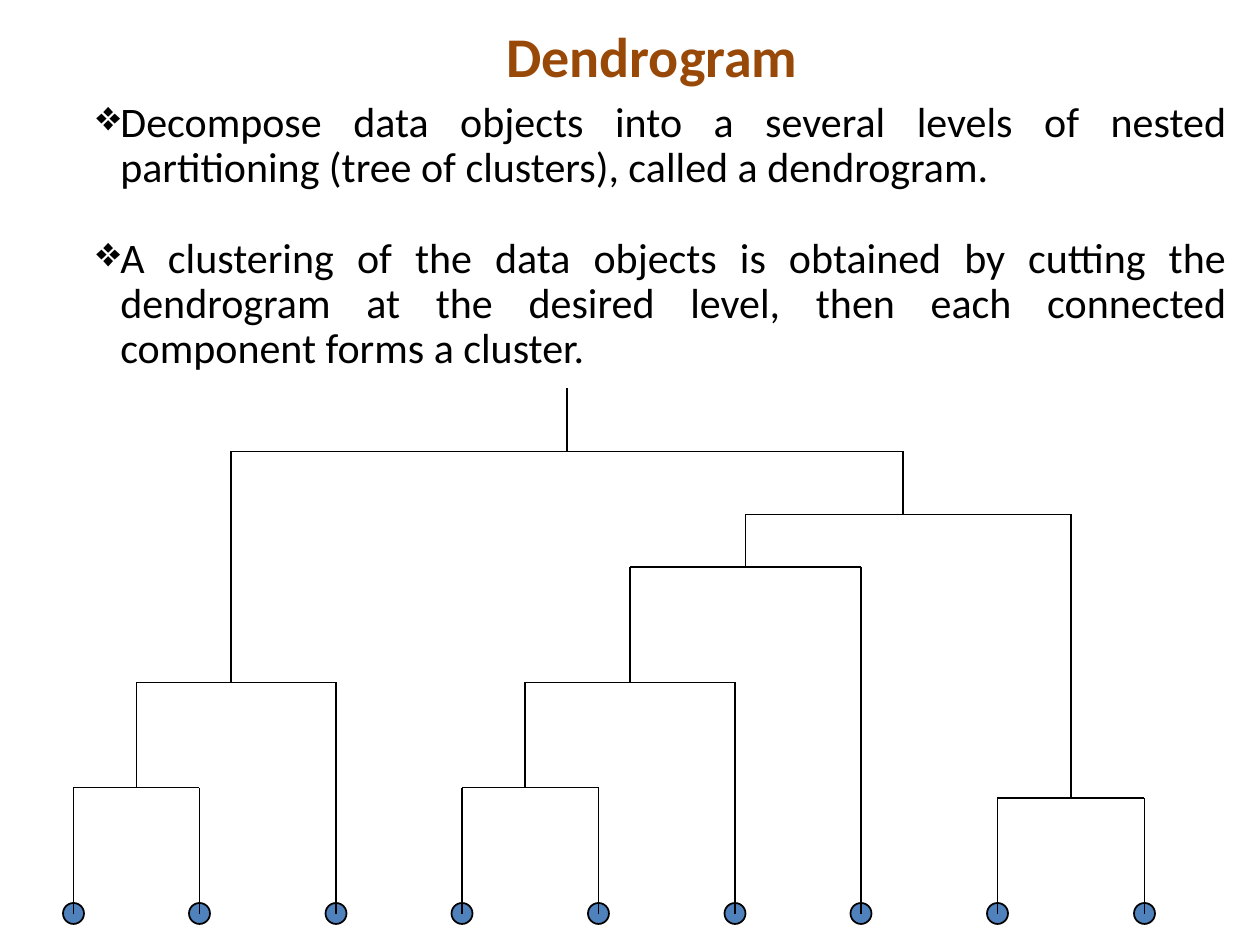
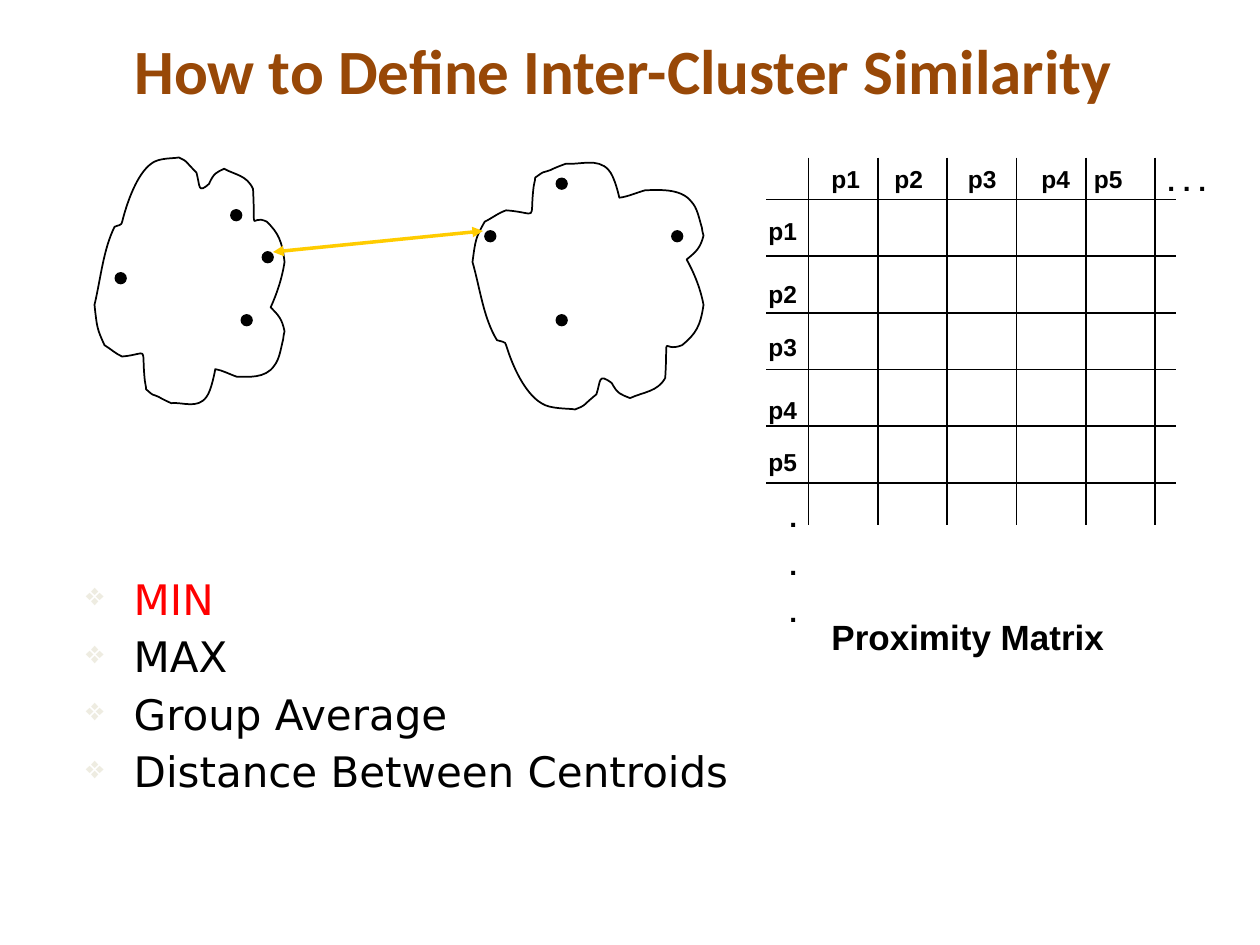
import lxml.etree
import pptx
import pptx.dml.color
import pptx.enum.shapes
import pptx.enum.text
import pptx.oxml.ns
import pptx.util

COLORS = {
    "title": "984807",
    "ink": "000000",
    "leaf": "4F81BD",
    "arrow": "FFCC00",
    "chosen": "FF0000",
    "pale": "EEECE1",
}
COLUMNS, ROWS = 120, 90
ALIGN = pptx.enum.text.PP_ALIGN
qn = pptx.oxml.ns.qn

LEAF_ROW = 87
LEAF_COLUMNS = [7, 19, 32, 44, 57, 70, 82, 95, 109]
LEFT_CLUSTERS = ((7, 19, 75), 32, 65)
MIDDLE_CLUSTERS = (((44, 57, 75), 70, 65), 82, 54)
CLUSTER_TREE = (LEFT_CLUSTERS, (MIDDLE_CLUSTERS, (95, 109, 76), 49), 43)

DENDROGRAM_POINTS = [
    "Decompose data objects into a several levels of nested partitioning "
    "(tree of clusters), called a dendrogram.",
    "A clustering of the data objects is obtained by cutting the dendrogram "
    "at the desired level, then each connected component forms a cluster.",
]
SIMILARITY_MEASURES = ["MIN", "MAX", "Group Average", "Distance Between Centroids"]

OUTLINE_SIZE = (151, 200)
CLUSTER_OUTLINE = [
    (16, 55),
    (7, 73), (5, 96), (0, 117),
    (2, 135), (2, 136), (8, 149),
    (13, 152), (17, 156), (22, 158),
    (44, 156), (37, 148), (40, 177),
    (40, 179), (41, 181), (41, 184),
    (48, 190), (44, 187), (51, 190),
    (54, 192), (61, 195), (61, 195),
    (70, 194), (82, 200), (89, 190),
    (93, 185), (96, 168), (96, 168),
    (102, 169), (107, 172), (113, 174),
    (121, 174), (136, 176), (143, 165),
    (147, 160), (148, 152), (150, 144),
    (150, 142), (151, 138), (151, 138),
    (149, 128), (146, 125), (140, 119),
    (145, 108), (149, 96), (151, 83),
    (149, 66), (146, 60), (137, 51),
    (123, 44), (128, 65), (126, 25),
    (121, 14), (112, 14), (103, 9),
    (97, 12), (95, 12), (91, 21),
    (82, 29), (84, 23), (81, 12),
    (70, 1), (75, 4), (67, 0),
    (63, 1), (51, 0), (45, 5),
    (34, 13), (26, 35), (22, 51),
    (22, 54), (18, 54), (16, 55),
]
LEFT_MEMBERS = [(23, 30), (22, 20), (11, 26), (25, 24)]
RIGHT_MEMBERS = [(64, 22), (46.2, 22), (53, 30), (53, 17)]

POINT_NAMES = ["p1", "p2", "p3", "p4", "p5"]
NAME_COLUMNS = [78, 84, 91, 98, 103]
NAME_ROWS = [20, 26, 31, 37, 42]


def rgb(color):
    return pptx.dml.color.RGBColor.from_string(COLORS[color])


class Deck:
    def __init__(self):
        self.presentation = pptx.Presentation()
        self.presentation.slide_width = pptx.util.Inches(10)
        self.presentation.slide_height = pptx.util.Inches(7.5)
        self.column = self.presentation.slide_width / COLUMNS
        self.row = self.presentation.slide_height / ROWS
        self.slide = None

    def place(self, left, top, width, height):
        return (round(left * self.column), round(top * self.row),
                round(width * self.column), round(height * self.row))

    def format_runs(self, paragraph, size, font, color, bold):
        for run in paragraph.runs:
            run.font.size = pptx.util.Pt(size)
            run.font.name = font
            run.font.bold = bold
            run.font.color.rgb = rgb(color)

    def add_slide(self, title, box, size, align):
        self.slide = self.presentation.slides.add_slide(self.presentation.slide_layouts[5])
        heading = self.slide.shapes.title
        heading.left, heading.top, heading.width, heading.height = self.place(*box)
        frame = heading.text_frame
        frame.text = title
        frame.auto_size = pptx.enum.text.MSO_AUTO_SIZE.NONE
        frame.vertical_anchor = pptx.enum.text.MSO_ANCHOR.MIDDLE
        frame.paragraphs[0].alignment = align
        self.format_runs(frame.paragraphs[0], size, "Calibri", "title", True)

    def text(self, box, lines, size=14, font="Arial", color="ink", bold=True, gap=0):
        frame = self.slide.shapes.add_textbox(*self.place(*box)).text_frame
        frame.word_wrap = True
        frame.text = "\n".join(lines)
        for index, paragraph in enumerate(frame.paragraphs):
            self.format_runs(paragraph, size, font, color, bold)
            if index:
                paragraph.space_before = pptx.util.Pt(gap)
        return frame.paragraphs

    def bullet(self, paragraph, margin, hanging, color=None, percent=100):
        properties = paragraph._p.get_or_add_pPr()
        properties.set("marL", str(pptx.util.Inches(margin)))
        properties.set("indent", str(-pptx.util.Inches(hanging)))
        if color:
            tint = lxml.etree.SubElement(properties, qn("a:buClr"))
            lxml.etree.SubElement(tint, qn("a:srgbClr"), val=COLORS[color])
        lxml.etree.SubElement(properties, qn("a:buSzPct"), val=str(percent * 1000))
        lxml.etree.SubElement(properties, qn("a:buChar"), char="❖")

    def line(self, start, end, color="ink", width=1, arrows=False):
        ends = self.place(*start, *end)
        connector = self.slide.shapes.add_connector(
            pptx.enum.shapes.MSO_CONNECTOR.STRAIGHT, *ends)
        connector.line.color.rgb = rgb(color)
        connector.line.width = pptx.util.Pt(width)
        properties = connector._element.spPr
        if arrows:
            for tip in ("a:headEnd", "a:tailEnd"):
                lxml.etree.SubElement(properties.find(qn("a:ln")), qn(tip), type="triangle")
        lxml.etree.SubElement(properties, qn("a:effectLst"))

    def outline(self, shape):
        shape.shadow.inherit = False
        shape.line.color.rgb = rgb("ink")
        shape.line.width = pptx.util.Pt(1)

    def dot(self, left, top, size, color):
        circle = self.slide.shapes.add_shape(
            pptx.enum.shapes.MSO_SHAPE.OVAL, *self.place(left, top, size, size))
        circle.fill.solid()
        circle.fill.fore_color.rgb = rgb(color)
        self.outline(circle)

    def cluster(self, box, flipped=False):
        left, top, width, height = self.place(*box)
        across, down = OUTLINE_SIZE
        points = [(x, down - y if flipped else y) for x, y in CLUSTER_OUTLINE]
        builder = self.slide.shapes.build_freeform(
            *points[0], scale=(width / across, height / down))
        builder.add_line_segments(points[1:], close=True)
        blob = builder.convert_to_shape(left, top)
        blob.fill.background()
        self.outline(blob)
        segments = blob._element.findall(".//" + qn("a:lnTo"))
        for first in range(0, len(segments), 3):
            curve = lxml.etree.Element(qn("a:cubicBezTo"))
            segments[first].addprevious(curve)
            for segment in segments[first:first + 3]:
                curve.append(segment[0])
                segment.getparent().remove(segment)

    def branch(self, node):
        if isinstance(node, int):
            return node, LEAF_ROW
        left, right, level = node
        stems = [self.branch(left), self.branch(right)]
        for column, row in stems:
            self.line((column, level), (column, row))
        start, end = stems[0][0], stems[1][0]
        self.line((start, level), (end, level))
        return (start + end) // 2, level


def dendrogram_slide(deck):
    deck.add_slide("Dendrogram", (47, 1.5, 31, 7.5), 32, ALIGN.LEFT)
    for column in LEAF_COLUMNS:
        deck.dot(column - 1, LEAF_ROW - 1, 2, "leaf")
    root, level = deck.branch(CLUSTER_TREE)
    deck.line((root, level), (root, 37))
    points = deck.text((2, 9, 116, 31.8), DENDROGRAM_POINTS, 24, "Calibri", bold=False, gap=26)
    for point in points:
        deck.bullet(point, 0.69, 0.19)
        point.alignment = ALIGN.JUSTIFY
        point.line_spacing = 0.9


def proximity_matrix(deck):
    for index in range(6):
        column, row = 77 + 6.6 * index, 19 + 5.4 * index
        deck.line((column, 15), (column, 50))
        deck.line((73, row), (112, row))
    for name, column, row in zip(POINT_NAMES, NAME_COLUMNS, NAME_ROWS):
        deck.text((column, 15, 7, 4), [name])
        deck.text((72, row, 7, 4), [name])
    deck.text((110, 15, 7, 4.4), [". . ."], 16)
    deck.text((74, 47, 7, 14), ["."] * 3, 16, gap=8)
    deck.text((78, 58, 33, 5.2), ["Proximity Matrix"], 20)


def similarity_slide(deck):
    deck.add_slide("How to Define Inter-Cluster Similarity", (5, 3, 108.7, 7.2), 36, ALIGN.CENTER)
    proximity_matrix(deck)
    deck.cluster((9, 15, 18.1, 24))
    deck.cluster((45, 15, 22, 24), flipped=True)
    for column, row in LEFT_MEMBERS + RIGHT_MEMBERS:
        deck.dot(column, row, 1, "ink")
    deck.line((26, 24), (46, 22), "arrow", 2, arrows=True)
    measures = deck.text((7, 54, 107, 33), SIMILARITY_MEASURES, 24, "DejaVu Sans", bold=False, gap=2)
    for measure in measures:
        deck.bullet(measure, 0.38, 0.38, "pale", 75)
        measure.space_after = pptx.util.Pt(2)
    deck.format_runs(measures[0], 24, "DejaVu Sans", "chosen", False)


def main():
    deck = Deck()
    dendrogram_slide(deck)
    similarity_slide(deck)
    deck.presentation.save("out.pptx")


if __name__ == "__main__":
    main()
